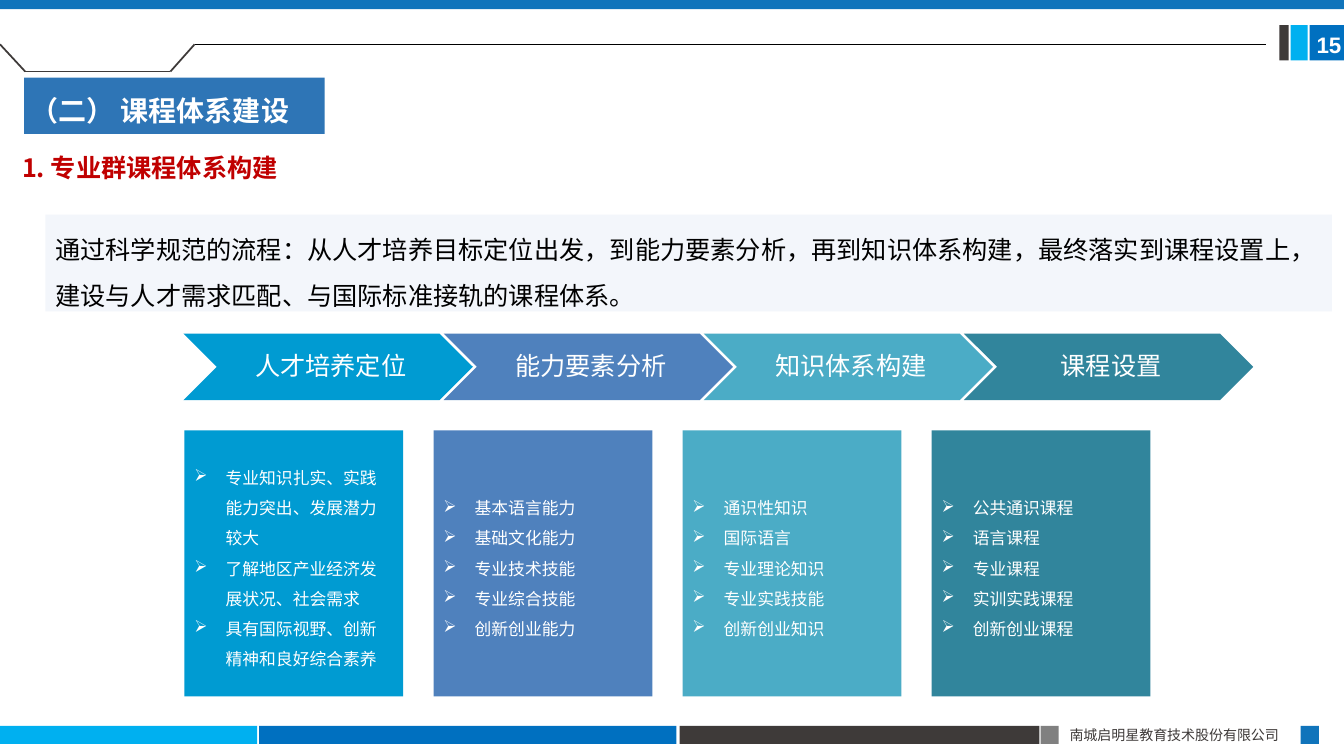
from dataclasses import dataclass

from pptx import Presentation
from pptx import util as u
from pptx.dml.color import RGBColor
from pptx.enum import shapes, text
from pptx.oxml.xmlchemy import OxmlElement

COLOURS = {
    "white": "FFFFFF", "black": "000000", "charcoal": "3E3A39", "grey": "808080",
    "band": "1074BB", "blue": "0070C0", "sky": "00B0F0", "title": "2E75B6",
    "red": "C00000", "panel": "F3F6FB",
    "azure": "009BD2", "slate": "4F81BD", "teal": "4BACC6", "deep teal": "31859C",
}
CJK_FONT = "Noto Sans CJK SC"
LEFT, CENTER, JUSTIFY = text.PP_ALIGN.LEFT, text.PP_ALIGN.CENTER, text.PP_ALIGN.JUSTIFY
TOP, MIDDLE = text.MSO_ANCHOR.TOP, text.MSO_ANCHOR.MIDDLE


@dataclass
class Bar:
    left: float
    top: float
    width: float
    height: float
    colour: str


@dataclass
class Rule:
    start: tuple[float, float]
    end: tuple[float, float]
    colour: str = "charcoal"
    weight: float = 1.25


@dataclass
class TextStyle:
    size: float
    colour: str
    bold: bool = False
    font: str = CJK_FONT
    align: text.PP_ALIGN = LEFT
    anchor: text.MSO_ANCHOR = TOP
    line_spacing: float = 1.0
    space_after: float = 0
    bullet: str = ""


@dataclass
class Stage:
    name: str
    colour: str
    points: list[str]


BARS = [
    Bar(0, 7.2, 2.55, 0.18, "sky"),
    Bar(2.57, 7.2, 4.14, 0.18, "blue"),
    Bar(6.74, 7.2, 3.57, 0.18, "charcoal"),
    Bar(10.32, 7.2, 0.18, 0.18, "grey"),
    Bar(12.9, 7.2, 0.18, 0.18, "band"),
    Bar(12.99, 0.25, 0.35, 0.35, "blue"),
    Bar(12.8, 0.25, 0.17, 0.35, "sky"),
    Bar(12.69, 0.25, 0.09, 0.35, "charcoal"),
    Bar(0, 0, 13.33, 0.09, "band"),
    Bar(0.24, 0.77, 2.98, 0.56, "title"),
]
RULES = [
    Rule((0.25, 0.71), (1.69, 0.71)),
    Rule((1.69, 0.71), (1.93, 0.44)),
    Rule((0.25, 0.71), (0, 0.44)),
    Rule((1.93, 0.44), (12.56, 0.44), "black", 0.5),
]
STAGES = [
    Stage("人才培养定位", "azure", [
        "专业知识扎实、实践能力突出、发展潜力较大",
        "了解地区产业经济发展状况、社会需求",
        "具有国际视野、创新精神和良好综合素养"]),
    Stage("能力要素分析", "slate", [
        "基本语言能力", "基础文化能力", "专业技术技能", "专业综合技能", "创新创业能力"]),
    Stage("知识体系构建", "teal", [
        "通识性知识", "国际语言", "专业理论知识", "专业实践技能", "创新创业知识"]),
    Stage("课程设置", "deep teal", [
        "公共通识课程", "语言课程", "专业课程", "实训实践课程", "创新创业课程"]),
]
CHEVRON_LEFT, CHEVRON_PITCH = 1.82, 2.58
CARD_LEFT, CARD_PITCH = 1.83, 2.47

FOOTER = TextStyle(10, "charcoal", align=JUSTIFY)
NUMBER = TextStyle(16, "white", bold=True, font="Arial")
TITLE = TextStyle(20, "white", bold=True, line_spacing=1.3)
HEADING = TextStyle(18, "red", bold=True, line_spacing=1.5)
SUMMARY = TextStyle(18, "black", line_spacing=1.5)
STAGE_NAME = TextStyle(18, "white", align=CENTER, anchor=MIDDLE,
                       line_spacing=0.9, space_after=6)
STAGE_POINT = TextStyle(12, "white", anchor=MIDDLE, line_spacing=1.5, bullet="➢")


def set_all(target, values: dict) -> None:
    for name, value in values.items():
        setattr(target, name, value)


def rgb(colour: str) -> RGBColor:
    return RGBColor.from_string(COLOURS[colour])


def add_bullet(paragraph, character: str) -> None:
    properties = paragraph._p.get_or_add_pPr()
    properties.set("marL", str(u.Inches(0.31)))
    properties.set("indent", str(-u.Inches(0.31)))
    bullet = OxmlElement("a:buChar")
    bullet.set("char", character)
    properties.append(bullet)


def write(shape, lines: list[str], style: TextStyle) -> None:
    frame = shape.text_frame
    set_all(frame, {"word_wrap": True, "auto_size": text.MSO_AUTO_SIZE.NONE,
                    "vertical_anchor": style.anchor})
    for index, line in enumerate(lines):
        paragraph = frame.paragraphs[0] if index == 0 else frame.add_paragraph()
        if style.bullet:
            add_bullet(paragraph, style.bullet)
        set_all(paragraph, {"alignment": style.align, "line_spacing": style.line_spacing,
                            "space_before": u.Pt(0),
                            "space_after": u.Pt(style.space_after)})
        run = paragraph.add_run()
        run.text = line
        set_all(run.font, {"size": u.Pt(style.size), "bold": style.bold,
                           "name": style.font})
        run.font.color.rgb = rgb(style.colour)
        east_asian = OxmlElement("a:ea")
        east_asian.set("typeface", style.font)
        run._r.get_or_add_rPr().append(east_asian)


def add_block(slide, bar: Bar, preset=shapes.MSO_SHAPE.RECTANGLE):
    """Add a filled preset shape without outline or shadow."""
    shape = slide.shapes.add_shape(preset, *map(
        u.Inches, (bar.left, bar.top, bar.width, bar.height)))
    shape.shadow.inherit = False
    shape.fill.solid()
    shape.fill.fore_color.rgb = rgb(bar.colour)
    shape.line.fill.background()
    return shape


def add_rule(slide, rule: Rule) -> None:
    connector = slide.shapes.add_connector(
        shapes.MSO_CONNECTOR.STRAIGHT, *map(u.Inches, rule.start + rule.end))
    connector.line.color.rgb = rgb(rule.colour)
    connector.line.width = u.Pt(rule.weight)
    connector._element.spPr.append(OxmlElement("a:effectLst"))


def add_label(slide, left: float, top: float, width: float, height: float,
              words: str, style: TextStyle) -> None:
    box = slide.shapes.add_textbox(*map(u.Inches, (left, top, width, height)))
    write(box, [words], style)


def add_title(slide, words: str) -> None:
    """Format the title placeholder and bring it in front of its bar."""
    title = slide.shapes.title
    set_all(title, {"left": u.Inches(0.2), "top": u.Inches(0.78),
                    "width": u.Inches(3.6), "height": u.Inches(0.54)})
    write(title, [words], TITLE)
    slide.shapes._spTree.append(title._element)


def add_stage(slide, index: int, stage: Stage) -> None:
    chevron = add_block(slide, Bar(CHEVRON_LEFT + index * CHEVRON_PITCH, 3.31, 2.87, 0.66,
                                   stage.colour), shapes.MSO_SHAPE.CHEVRON)
    set_all(chevron.text_frame, {
        "margin_left": u.Inches(0.08), "margin_right": u.Inches(0.03),
        "margin_top": u.Inches(0.03), "margin_bottom": u.Inches(0.03)})
    write(chevron, [stage.name], STAGE_NAME)
    card = add_block(slide, Bar(CARD_LEFT + index * CARD_PITCH, 4.27, 2.17, 2.64,
                                stage.colour))
    write(card, stage.points, STAGE_POINT)


def main() -> None:
    presentation = Presentation()
    presentation.slide_width = u.Inches(13.33)
    presentation.slide_height = u.Inches(7.5)
    slide = presentation.slides.add_slide(presentation.slide_layouts[5])

    for bar in BARS:
        add_block(slide, bar)
    for rule in RULES:
        add_rule(slide, rule)
    add_label(slide, 10.51, 7.16, 2.4, 0.27, "南城启明星教育技术股份有限公司", FOOTER)
    add_label(slide, 12.96, 0.26, 0.5, 0.37, "15", NUMBER)
    add_title(slide, "（二） 课程体系建设")
    add_label(slide, 0.12, 1.31, 4.38, 0.56, "1. 专业群课程体系构建", HEADING)

    summary = add_block(slide, Bar(0.45, 2.13, 12.76, 0.96, "panel"))
    write(summary, ["通过科学规范的流程：从人才培养目标定位出发，到能力要素分析，"
                    "再到知识体系构建，最终落实到课程设置上，"
                    "建设与人才需求匹配、与国际标准接轨的课程体系。"], SUMMARY)
    for index, stage in enumerate(STAGES):
        add_stage(slide, index, stage)
    presentation.save("out.pptx")


if __name__ == "__main__":
    main()
